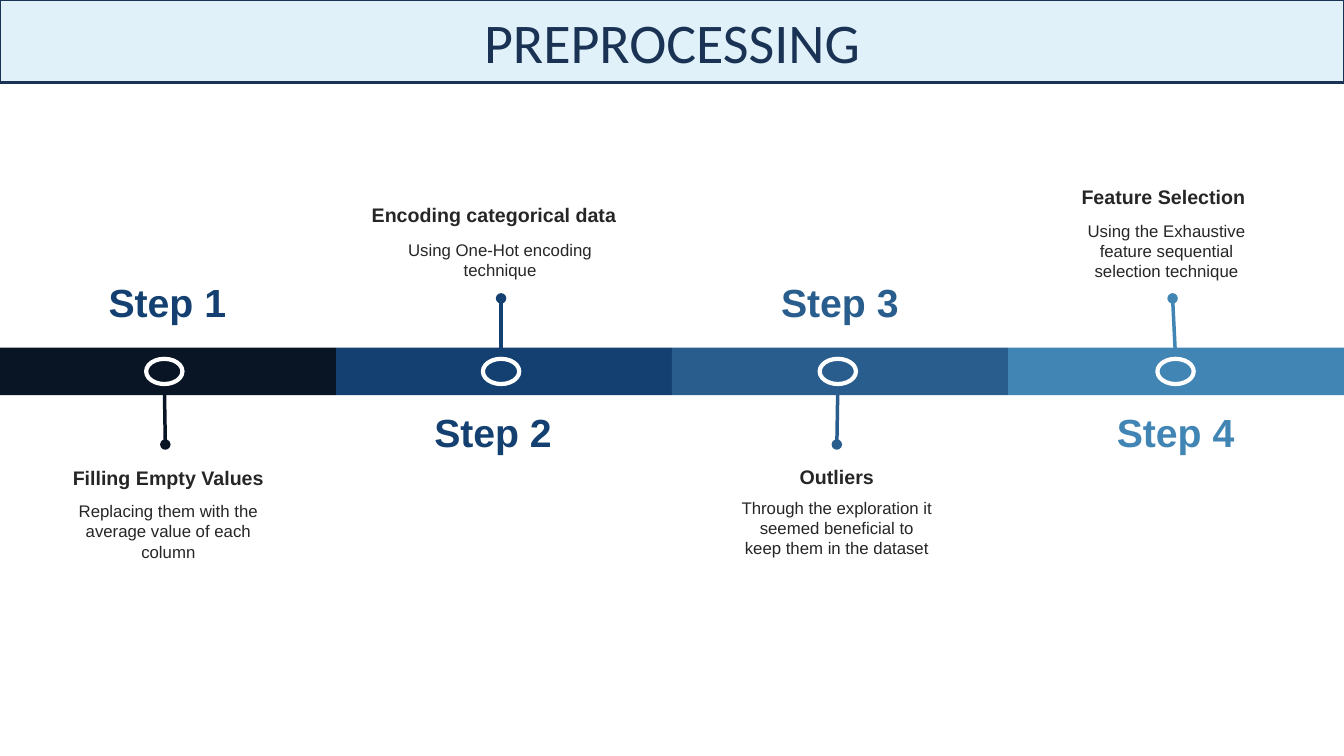
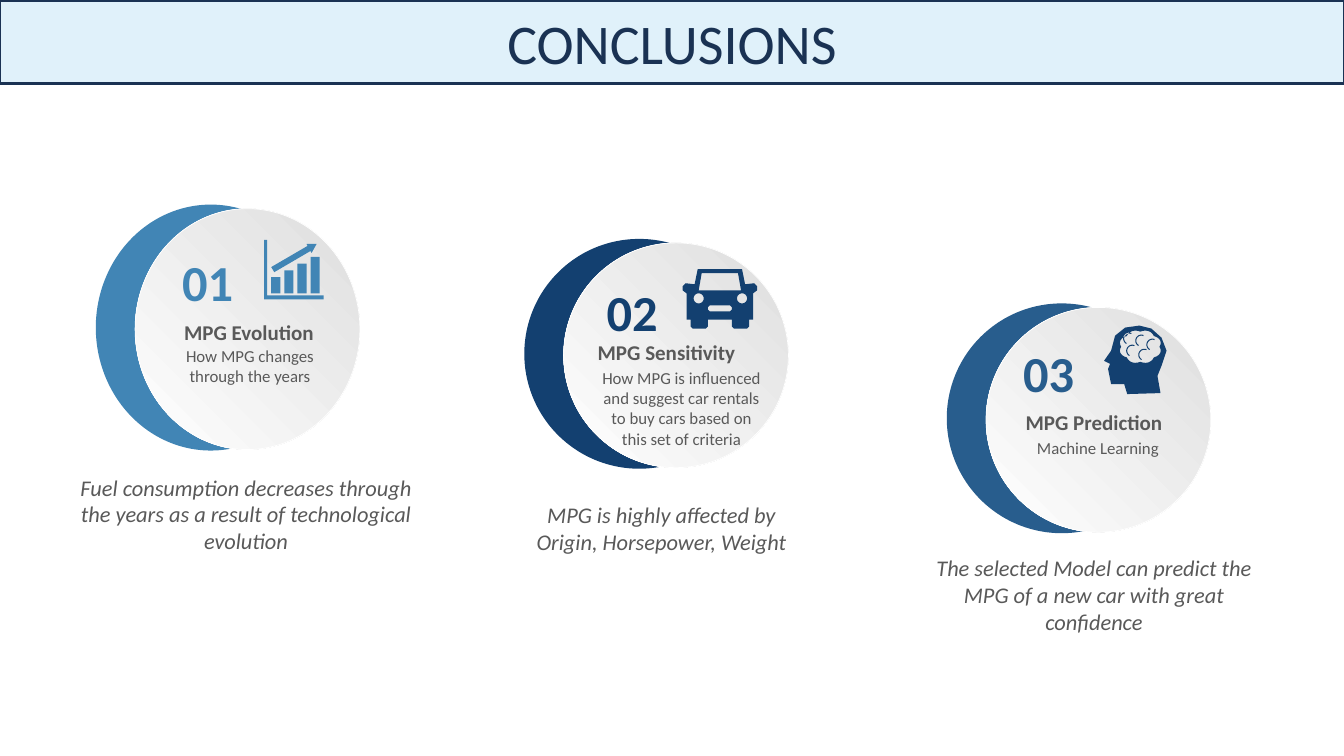
from math import cos, pi, sin

from lxml import etree
from pptx import Presentation
from pptx import util as u
from pptx.dml.color import RGBColor
from pptx.enum import shapes, text
from pptx.oxml.ns import qn

COLORS = {
    "band": "E0F1FA", "title": "1A3253", "white": "FFFFFF", "shade": "DEDEDE",
    "ink": "262626", "gray": "595959",
    "night": "091424", "navy": "134070", "blue": "285D8D", "sky": "4185B5",
}
RGB = {name: RGBColor.from_string(value) for name, value in COLORS.items()}


def add_text(page, center, top, width, height, words, size, color, font,
             bold=False, italic=False, middle=False):
    """Add a wrapping text box around a centre line; lengths in inches."""
    box = page.shapes.add_textbox(u.Inches(center - width / 2), u.Inches(top),
                                  u.Inches(width), u.Inches(height))
    frame = box.text_frame
    frame.word_wrap = True
    frame.vertical_anchor = text.MSO_ANCHOR.MIDDLE if middle else text.MSO_ANCHOR.TOP
    para = frame.paragraphs[0]
    para.alignment = text.PP_ALIGN.CENTER
    span = para.add_run()
    span.text = words
    span.font.name = font
    span.font.size = u.Pt(size)
    span.font.bold = bold
    span.font.italic = italic
    span.font.color.rgb = RGB[color]


def add_shape(page, kind, place, fill, line=None, width=0):
    """Add a flat preset shape with an optional outline."""
    shape = page.shapes.add_shape(kind, *map(u.Inches, place))
    shape.shadow.inherit = False
    shape.fill.solid()
    shape.fill.fore_color.rgb = RGB[fill]
    if line:
        shape.line.color.rgb = RGB[line]
        shape.line.width = u.Pt(width)
    else:
        shape.line.fill.background()
    return shape


RECTANGLE = shapes.MSO_SHAPE.RECTANGLE
OVAL = shapes.MSO_SHAPE.OVAL

deck = Presentation()
deck.slide_width = u.Inches(13.33)
deck.slide_height = u.Inches(7.5)

# Title band on every slide
pages = []
for title, band_top in (("PREPROCESSING", 0), ("CONCLUSIONS", 0.01)):
    page = deck.slides.add_slide(deck.slide_layouts[6])
    band = add_shape(page, RECTANGLE, (0, band_top, 13.33, 0.82), "band", "title", 1.75)
    para = band.text_frame.paragraphs[0]
    para.alignment = text.PP_ALIGN.CENTER
    span = para.add_run()
    span.text = title
    span.font.name = "Calibri"
    span.font.size = u.Pt(40)
    span.font.color.rgb = RGB["title"]
    pages.append(page)
steps_page, conclusions_page = pages

# Timeline: bar and label colour, pin x, ring centre, label centre,
# then centre, top and width of heading and body
steps = [
    ("night", "navy", 1.64, 1.63, 1.66,
     "Filling Empty Values", (1.67, 4.57, 2.1),
     "Replacing them with the average value of each column", (1.67, 4.92, 2.1)),
    ("navy", "navy", 4.97, 4.97, 4.89,
     "Encoding categorical data", (4.9, 1.96, 2.65),
     "Using One-Hot encoding technique", (4.96, 2.33, 2.65)),
    ("blue", "blue", 8.3, 8.31, 8.33,
     "Outliers", (8.3, 4.56, 2.1),
     "Through the exploration it seemed beneficial to keep them in the dataset",
     (8.3, 4.89, 2.1)),
    ("sky", "sky", 11.63, 11.66, 11.66,
     "Feature Selection", (11.54, 1.78, 1.96),
     "Using the Exhaustive feature sequential selection technique", (11.57, 2.14, 1.84)),
]
bar_width = 13.33 / len(steps)
for index, (color, label_color, pin_x, ring_x, label_x,
            heading, heading_place, body, body_place) in enumerate(steps):
    upward = index % 2 == 1
    add_shape(steps_page, RECTANGLE, (index * bar_width, 3.45, bar_width, 0.47), color)
    pin_y, ring_y, label_y = (2.96, 3.56, 4) if upward else (4.41, 3.81, 2.71)
    pin = steps_page.shapes.add_connector(
        shapes.MSO_CONNECTOR.STRAIGHT,
        u.Inches(pin_x), u.Inches(pin_y), u.Inches(ring_x), u.Inches(ring_y))
    pin.line.color.rgb = RGB[color]
    pin.line.width = u.Pt(2.5)
    properties = pin.element.spPr
    etree.SubElement(properties.find(qn("a:ln")), qn("a:headEnd"), type="oval")
    etree.SubElement(properties, qn("a:effectLst"))
    add_shape(steps_page, OVAL, (ring_x - 0.18, 3.56, 0.36, 0.25), color, "white", 3)
    add_text(steps_page, label_x, label_y, 2.5, 0.57, f"Step {index + 1}", 28,
             label_color, "Arial", bold=True)
    add_text(steps_page, *heading_place, 0.34, heading, 14, "ink", "Arial",
             bold=True, middle=True)
    add_text(steps_page, *body_place, 0.71, body, 12, "ink", "Arial")

# Conclusions: colour, disc left, top and height,
# then centre and top of number, heading and body, and the summary box
conclusions = [
    ("sky", 0.95, 2.03, 2.44, (2.06, 2.44),
     "MPG Evolution", (2.47, 3.12),
     "How MPG changes through the years", (2.48, 3.38),
     "Fuel consumption decreases through the years as a result of technological evolution",
     (2.44, 4.65, 3.54)),
    ("navy", 5.2, 2.37, 2.28, (6.27, 2.74),
     "MPG Sensitivity", (6.61, 3.32),
     "How MPG is influenced and suggest car rentals to buy cars based on this set of criteria",
     (6.76, 3.6),
     "MPG is highly affected by Origin, Horsepower, Weight", (6.56, 4.92, 2.98)),
    ("blue", 9.39, 3.01, 2.28, (10.4, 3.34),
     "MPG Prediction", (10.85, 4.01),
     "Machine Learning", (10.89, 4.29),
     "The selected Model can predict the MPG of a new car with great confidence",
     (10.85, 5.45, 3.57)),
]
for number, (color, left, top, height, number_place, heading, heading_place,
             body, body_place, summary, summary_place) in enumerate(conclusions, 1):
    add_shape(conclusions_page, OVAL, (left, top, 2.28, height), color)
    disc = add_shape(conclusions_page, OVAL, (left + 0.39, top + 0.04, 2.23, height - 0.05),
                     "white", "white", 0.5)
    disc.fill.gradient()
    disc.fill.gradient_angle = 225
    for stop, shade in zip(disc.fill.gradient_stops, ("shade", "white")):
        stop.color.rgb = RGB[shade]
    add_text(conclusions_page, *number_place, 1.01, 0.71, f"{number:02}", 36, color,
             "Calibri", bold=True)
    add_text(conclusions_page, *heading_place, 1.74, 0.35, heading, 15, "gray",
             "Calibri", bold=True)
    add_text(conclusions_page, *body_place, 1.86, 0.5, body, 12, "gray", "Calibri")
    add_text(conclusions_page, *summary_place, 0.64, summary, 16, "gray",
             "Calibri", italic=True)

# Chart icon: rising bars, arrow and axes
chart_icon = []
for index in range(4):
    x, bar_top = 2.69 + 0.13 * index, 2.75 - 0.067 * index
    chart_icon.append([(x, bar_top), (x + 0.09, bar_top), (x + 0.09, 2.91), (x, 2.91)])
chart_icon += [
    [(3.04, 2.42), (3.14, 2.42), (3.09, 2.51), (3.08, 2.49), (2.72, 2.7), (2.69, 2.65),
     (3.05, 2.44)],
    [(2.62, 2.38), (2.65, 2.38), (2.65, 2.93), (3.21, 2.93), (3.21, 2.97), (2.62, 2.97)],
]

# Car icon: the right half is mirrored; windscreen, plate and lights are holes
car_half = [
    (7.36, 2.67), (7.39, 2.82), (7.48, 2.81), (7.51, 2.84), (7.51, 2.88), (7.47, 2.91),
    (7.47, 3.17), (7.43, 3.17), (7.43, 3.24), (7.41, 3.26), (7.28, 3.26), (7.26, 3.24),
    (7.26, 3.17),
]
halves = [car_half, [(7.32, 2.71), (7.35, 2.88)],
          [(7.24, 3.03), (7.26, 3.05), (7.26, 3.07), (7.24, 3.09)]]
car_icon = [half + [(14.28 - x, y) for x, y in reversed(half)] for half in halves]
circle = [pi * turn / 24 for turn in range(48)]
for light_x in (6.93, 7.36):
    car_icon.append([(light_x + 0.05 * cos(a), 2.96 + 0.05 * sin(a)) for a in circle])

# Head icon: profile, scalloped brain as a hole, curved folds inside it
head_icon = [
    [(11.3, 3.23), (11.42, 3.26), (11.52, 3.35), (11.57, 3.48), (11.52, 3.63),
     (11.48, 3.73), (11.51, 3.9), (11.18, 3.91), (11.15, 3.81), (11.02, 3.81),
     (10.99, 3.66), (11.01, 3.61), (10.95, 3.58), (11.02, 3.48), (11.06, 3.33),
     (11.16, 3.25)],
    [(11.31 + 0.19 * cos(a) * (1 + 0.12 * abs(sin(4 * a))),
      3.44 + 0.15 * sin(a) * (1 + 0.12 * abs(sin(4 * a)))) for a in circle],
]
for fold_x, fold_y in ((11.2, 3.36), (11.32, 3.38), (11.43, 3.42), (11.23, 3.48), (11.35, 3.52)):
    arc = circle[16:40]
    head_icon.append([(fold_x + 0.06 * cos(a), fold_y + 0.06 * sin(a)) for a in arc]
                     + [(fold_x + 0.05 * cos(a), fold_y + 0.05 * sin(a)) for a in reversed(arc)])

# Draw each icon as one outline with holes
for contours, color in ((chart_icon, "sky"), (car_icon, "navy"), (head_icon, "navy")):
    outline = None
    for contour in contours:
        start, *rest = [(u.Inches(x), u.Inches(y)) for x, y in contour]
        if outline is None:
            outline = conclusions_page.shapes.build_freeform(*start)
        else:
            outline.move_to(*start)
        outline.add_line_segments(rest, close=True)
    icon = outline.convert_to_shape()
    icon.shadow.inherit = False
    icon.fill.solid()
    icon.fill.fore_color.rgb = RGB[color]
    icon.line.fill.background()

deck.save("out.pptx")
